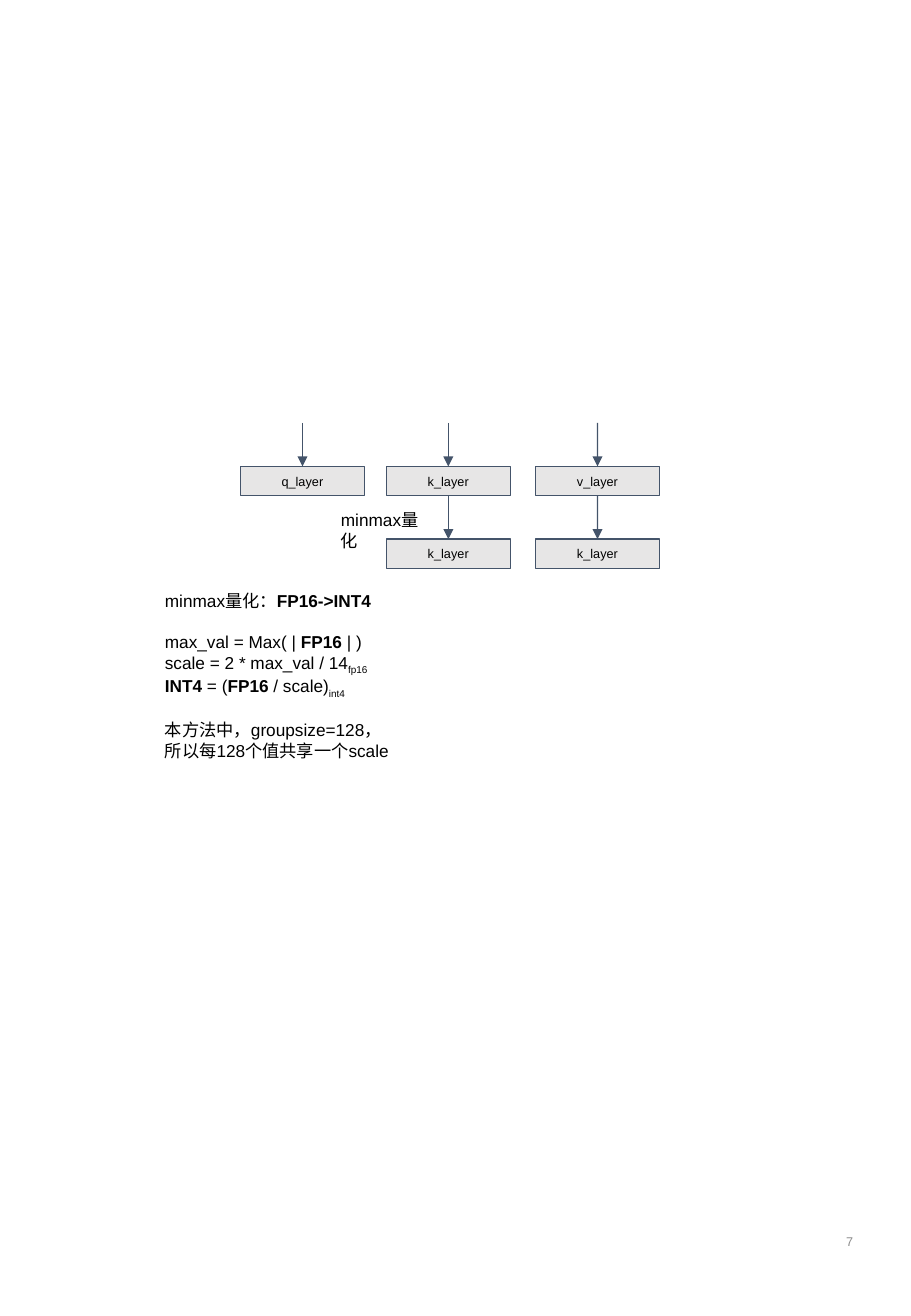
from pptx import Presentation
from pptx.dml.color import RGBColor
from pptx.enum.shapes import MSO_CONNECTOR, MSO_SHAPE
from pptx.enum.text import MSO_ANCHOR, PP_ALIGN
from pptx.oxml.ns import qn
from pptx.util import Cm, Pt
from lxml.etree import SubElement

BLACK = RGBColor(0x00, 0x00, 0x00)
GREY = RGBColor(0x8C, 0x8C, 0x8C)
BOX_FILL = RGBColor(0xE7, 0xE6, 0xE6)
SLATE = RGBColor(0x44, 0x54, 0x6A)

prs = Presentation()
prs.slide_width, prs.slide_height = Cm(19.05), Cm(27.51)
s = prs.slides.add_slide(prs.slide_layouts[6])


def add_run(p, text, size, color=BLACK, bold=False):
    r = p.add_run()
    r.text = text
    r.font.name = "Arial"
    r.font.size = Pt(size)
    r.font.bold = bold
    r.font.color.rgb = color
    return r


def add_text_box(left, top, width, height):
    tf = s.shapes.add_textbox(Cm(left), Cm(top), Cm(width), Cm(height)).text_frame
    tf.word_wrap = True
    return tf


# Layer boxes, each with an arrow into its top edge
BOX_W, BOX_H, ARROW_H = 2.59, 0.61, 0.91
Q_X, K_X, V_X = 5.03, 8.08, 11.2
ROW_1 = 9.75
ROW_2 = ROW_1 + BOX_H + ARROW_H
layers = [
    ("q_layer", Q_X, ROW_1), ("k_layer", K_X, ROW_1), ("v_layer", V_X, ROW_1),
    ("k_layer", K_X, ROW_2), ("k_layer", V_X, ROW_2),
]
for name, x, y in layers:
    sp = s.shapes.add_shape(MSO_SHAPE.RECTANGLE, Cm(x), Cm(y), Cm(BOX_W), Cm(BOX_H))
    sp.shadow.inherit = False
    sp.fill.solid()
    sp.fill.fore_color.rgb = BOX_FILL
    sp.line.color.rgb = SLATE
    sp.line.width = Pt(0.75)
    tf = sp.text_frame
    tf.vertical_anchor = MSO_ANCHOR.MIDDLE
    tf.margin_left = tf.margin_right = tf.margin_top = tf.margin_bottom = Cm(0.18)
    p = tf.paragraphs[0]
    p.alignment = PP_ALIGN.CENTER
    add_run(p, name, 7.5)

    mid = Cm(x + BOX_W / 2)
    arrow = s.shapes.add_connector(MSO_CONNECTOR.STRAIGHT, mid, Cm(y - ARROW_H), mid, Cm(y))
    arrow.end_connect(sp, 0)
    arrow.line.color.rgb = SLATE
    arrow.line.width = Pt(0.75)
    SubElement(arrow.line._get_or_add_ln(), qn("a:tailEnd"), type="triangle")
    SubElement(arrow._element.spPr, qn("a:effectLst"))

# Label beside the quantization arrow
tf = add_text_box(6.88, 10.52, 2.46, 1.12)
add_run(tf.paragraphs[0], "minmax量化", 10.2)

# Quantization formulas: (space before, [(text, style)])
formulas = [
    (0, [("minmax量化：", ""), ("FP16->INT4", "bold")]),
    (12, [("max_val = Max( | ", ""), ("FP16 ", "bold"), ("| )", "")]),
    (0, [("scale = 2 * max_val / 14", ""), ("fp16", "sub")]),
    (0, [("INT4", "bold"), (" = (", ""), ("FP16", "bold"), (" / scale)", ""), ("int4", "sub")]),
    (12, [("本方法中，groupsize=128，", "")]),
    (0, [("所以每128个值共享一个scale", "")]),
]
tf = add_text_box(3.2, 12.22, 7.26, 4.06)
for i, (gap, runs) in enumerate(formulas):
    p = tf.add_paragraph() if i else tf.paragraphs[0]
    p.space_before = Pt(gap)
    for text, style in runs:
        r = add_run(p, text, 10.2, bold=style == "bold")
        if style == "sub":
            r.font._element.set("baseline", "-25000")

# Page number
tf = add_text_box(13.87, 25.32, 4.22, 1.27)
tf.vertical_anchor = MSO_ANCHOR.MIDDLE
p = tf.paragraphs[0]
p.alignment = PP_ALIGN.RIGHT
add_run(p, "7", 7.5, GREY)

prs.save("out.pptx")
